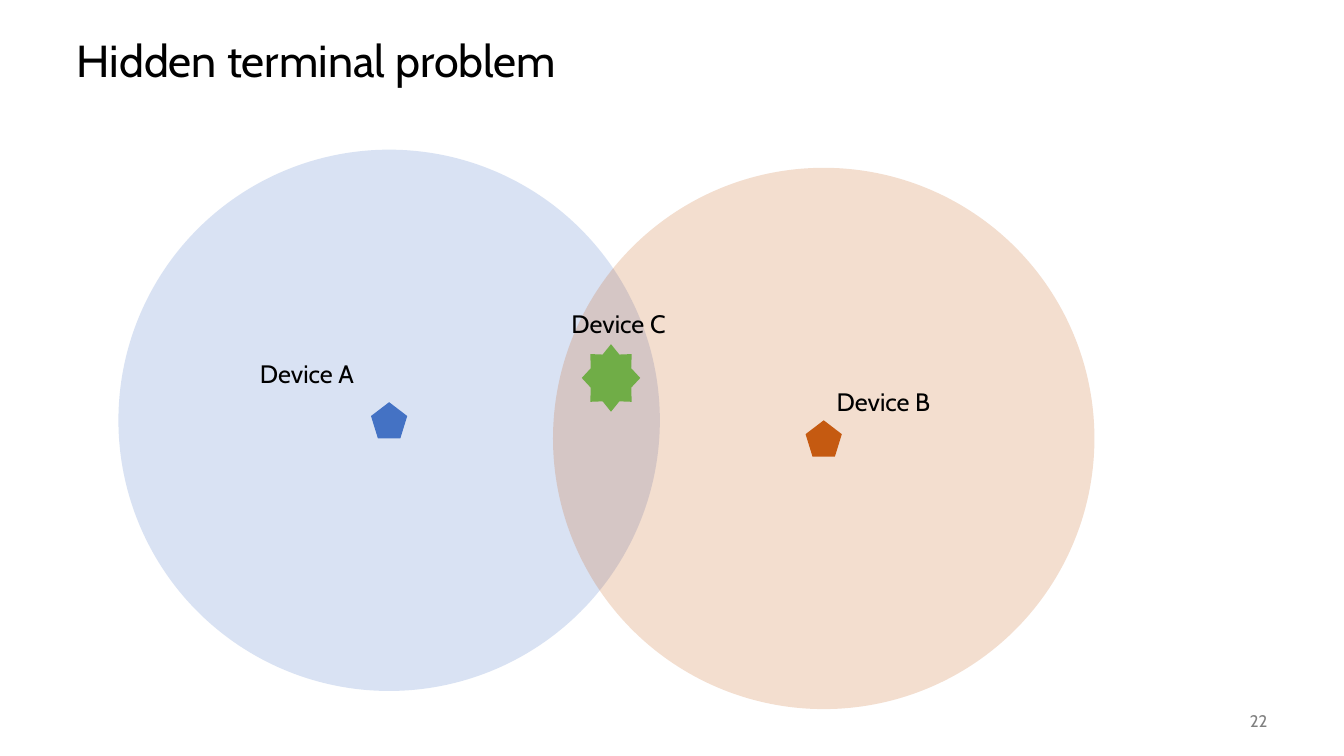
from dataclasses import dataclass

from lxml.etree import SubElement
from pptx import Presentation
from pptx.dml.color import RGBColor
from pptx.enum.shapes import MSO_SHAPE as Preset
from pptx.enum.text import MSO_ANCHOR as Anchor, MSO_AUTO_SIZE as AutoSize, PP_ALIGN as Align
from pptx.oxml.ns import qn
from pptx.shapes.autoshape import Shape
from pptx.slide import Slide
from pptx.util import Inches, Pt


@dataclass(frozen=True)
class Theme:
    font: str = "Cabin"
    ink: str = "000000"
    muted: str = "808080"
    blue: str = "4472C4"
    orange: str = "C55A11"
    green: str = "70AD47"
    title_size: int = 32
    label_size: int = 18
    number_size: int = 12
    range_opacity: int = 20


@dataclass(frozen=True)
class Station:
    center_x: float
    center_y: float
    color: str


@dataclass(frozen=True)
class Label:
    text: str
    left: float
    top: float


THEME = Theme()
RANGE_DIAMETER = 5.37
MARKER_SIZE = 0.36
STATIONS = [
    Station(3.86, 4.17, THEME.blue),
    Station(8.17, 4.35, THEME.orange),
]
SHARED_STATION = Station(6.06, 3.75, THEME.green)
LABELS = [
    Label("Device A", 2.48, 3.51),
    Label("Device B", 8.2, 3.78),
    Label("Device C", 5.57, 3.01),
]


def write(shape: Shape, text: str, size: int, color: str) -> None:
    shape.text_frame.text = text
    font = shape.text_frame.paragraphs[0].runs[0].font
    font.name = THEME.font
    font.size = Pt(size)
    font.color.rgb = RGBColor.from_string(color)


def add_centered(slide: Slide, preset: Preset, station: Station,
                 width: float, height: float) -> Shape:
    shape = slide.shapes.add_shape(
        preset,
        Inches(station.center_x - width / 2), Inches(station.center_y - height / 2),
        Inches(width), Inches(height),
    )
    shape.shadow.inherit = False
    shape.fill.solid()
    shape.fill.fore_color.rgb = RGBColor.from_string(station.color)
    shape.line.fill.background()
    return shape


def set_opacity(shape: Shape, percent: int) -> None:
    color = shape.fill._xPr.find(qn("a:solidFill"))[0]
    SubElement(color, qn("a:alpha")).set("val", str(percent * 1000))


def add_station(slide: Slide, station: Station) -> None:
    add_centered(slide, Preset.REGULAR_PENTAGON, station, MARKER_SIZE, MARKER_SIZE)
    radio_range = add_centered(slide, Preset.OVAL, station, RANGE_DIAMETER, RANGE_DIAMETER)
    set_opacity(radio_range, THEME.range_opacity)


def add_label(slide: Slide, label: Label) -> None:
    box = slide.shapes.add_textbox(
        Inches(label.left), Inches(label.top), Inches(1.4), Inches(0.4))
    box.text_frame.word_wrap = True
    box.text_frame.auto_size = AutoSize.SHAPE_TO_FIT_TEXT
    write(box, label.text, THEME.label_size, THEME.ink)


def add_title(slide: Slide, text: str) -> None:
    title = slide.shapes.title
    title.left, title.top = Inches(0.66), Inches(0.25)
    title.width, title.height = Inches(12), Inches(0.75)
    write(title, text, THEME.title_size, THEME.ink)
    title.text_frame.vertical_anchor = Anchor.MIDDLE
    title.text_frame.paragraphs[0].alignment = Align.LEFT
    title.text_frame.paragraphs[0].line_spacing = 0.9


def add_slide_number(slide: Slide, number: str) -> None:
    box = slide.shapes.add_textbox(Inches(11.67), Inches(6.95), Inches(1), Inches(0.4))
    box.text_frame.word_wrap = True
    box.text_frame.vertical_anchor = Anchor.MIDDLE
    write(box, number, THEME.number_size, THEME.muted)
    box.text_frame.paragraphs[0].alignment = Align.RIGHT


def main() -> None:
    presentation = Presentation()
    presentation.slide_width = Inches(13.33)
    presentation.slide_height = Inches(7.5)
    slide = presentation.slides.add_slide(presentation.slide_layouts.get_by_name("Title Only"))
    add_title(slide, "Hidden terminal problem")
    add_slide_number(slide, "22")
    for station in STATIONS:
        add_station(slide, station)
    add_centered(slide, Preset.STAR_8_POINT, SHARED_STATION, 0.58, 0.67)
    for label in LABELS:
        add_label(slide, label)
    presentation.save("out.pptx")


if __name__ == "__main__":
    main()
